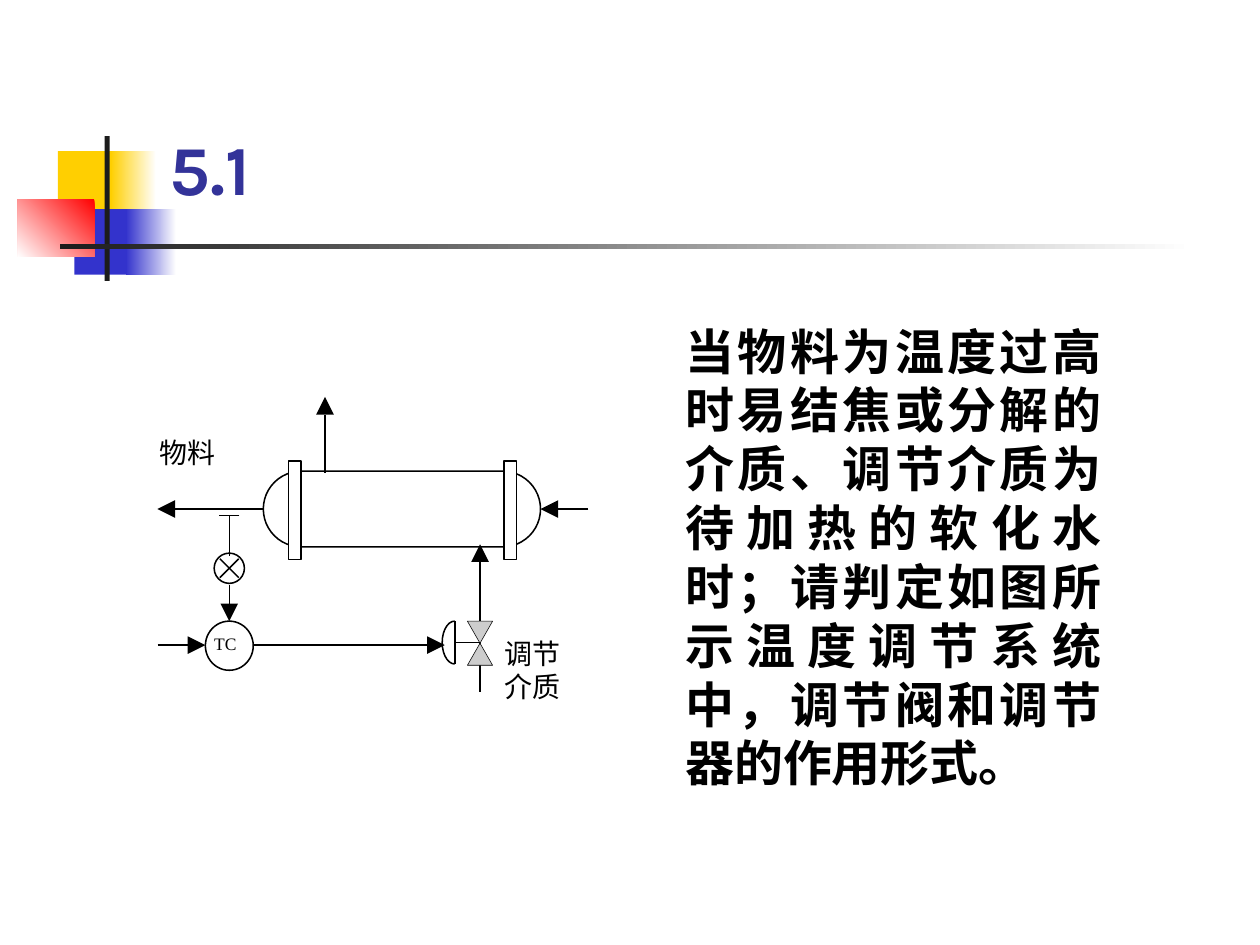
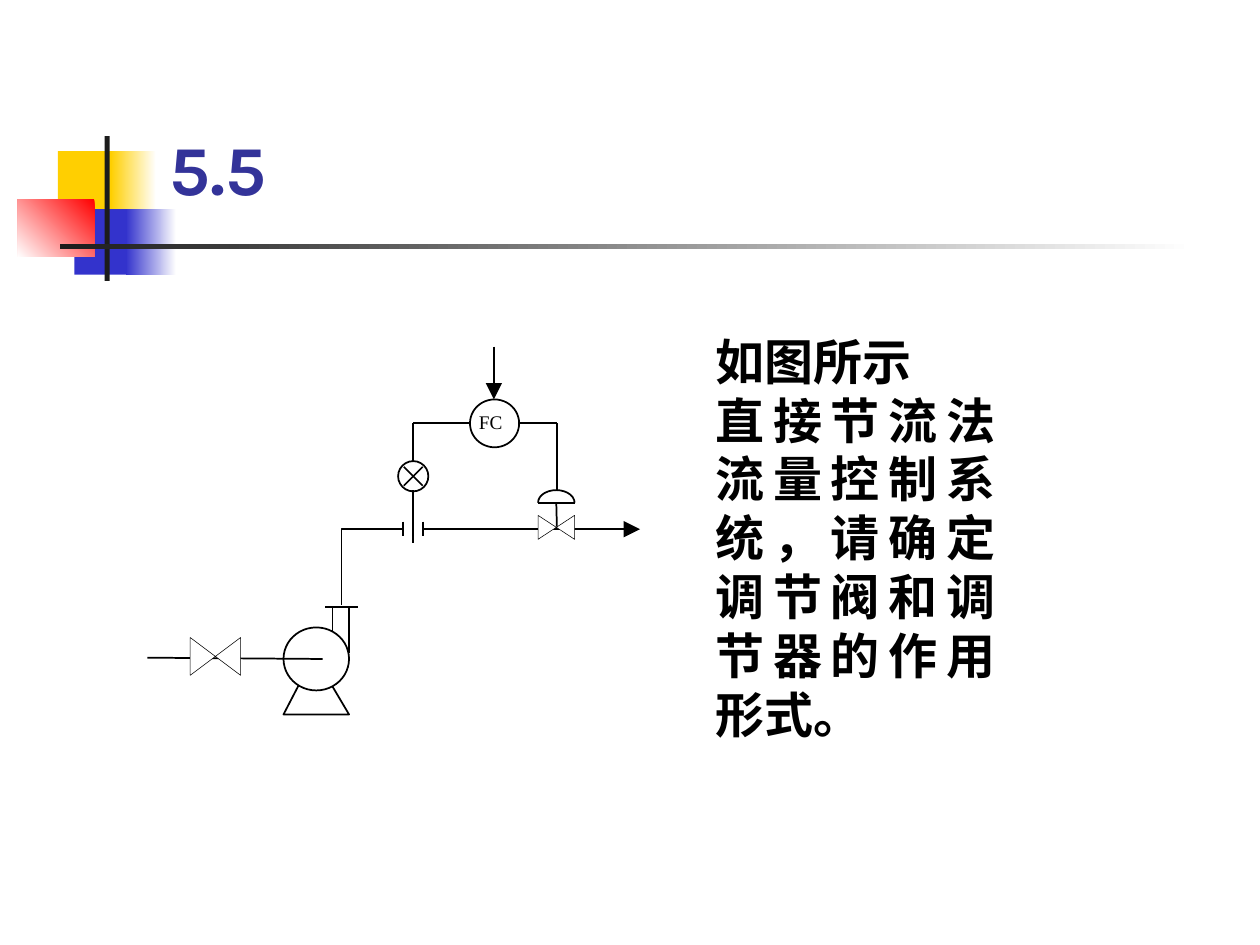
import math
from dataclasses import dataclass
from itertools import pairwise

from lxml import etree
from pptx import Presentation
from pptx.dml.color import RGBColor
from pptx.enum import shapes, text
from pptx.oxml import ns
from pptx.util import Inches, Pt


@dataclass(frozen=True)
class Theme:
    yellow: str = "FFCF01"
    blue: str = "3333CC"
    red: str = "FF0000"
    dark: str = "1C1C1C"
    title: str = "333399"
    ink: str = "000000"
    paper: str = "FFFFFF"
    grey: str = "CDCDCD"
    title_font: str = "Karla"
    body_font: str = "Noto Sans CJK SC"
    label_font: str = "Times New Roman"
    title_size: int = 40
    body_size: int = 28
    label_size: int = 16
    thin: float = 0.3


THEME = Theme()
RECTANGLE = shapes.MSO_SHAPE.RECTANGLE
OVAL = shapes.MSO_SHAPE.OVAL


# Shared building helpers
def paint(shape, fill=None, line=None, weight=1.0):
    """Fill and outline a shape; None leaves the part out."""
    shape.shadow.inherit = False
    if fill:
        shape.fill.solid()
        shape.fill.fore_color.rgb = RGBColor.from_string(fill)
    else:
        shape.fill.background()
    if line:
        shape.line.color.rgb = RGBColor.from_string(line)
        shape.line.width = Pt(weight)
    else:
        shape.line.fill.background()
    return shape


def paint_gradient(shape, first, last, clockwise):
    paint(shape)
    shape.fill.gradient()
    shape.fill.gradient_angle = 360 - clockwise
    for stop, color in zip(shape.fill.gradient_stops, (first, last)):
        stop.color.rgb = RGBColor.from_string(color)


def add_text(slide, box, lines, size, font, color=THEME.ink, bold=False,
             align=None, anchor=text.MSO_ANCHOR.TOP, before=0, tight=False):
    """Place paragraphs in a box; tight means no insets and no wrapping."""
    shape = slide.shapes.add_textbox(*map(Inches, box))
    frame = shape.text_frame
    frame.word_wrap = not tight
    frame.vertical_anchor = anchor
    if tight:
        frame.margin_left = frame.margin_right = 0
        frame.margin_top = frame.margin_bottom = 0
    frame.text = "\n".join(lines)
    for paragraph in frame.paragraphs:
        paragraph.alignment = align
        paragraph.space_before = Pt(before)
        # Keep punctuation inside the box
        paragraph._p.get_or_add_pPr().set("hangingPunct", "0")
        for run in paragraph.runs:
            run.font.size = Pt(size)
            run.font.bold = bold
            run.font.name = font
            run.font.color.rgb = RGBColor.from_string(color)
            east_asian = etree.SubElement(run.font._element, ns.qn("a:ea"))
            east_asian.set("typeface", THEME.body_font)


class Diagram:
    """Draws process symbols relative to the top left corner of its box."""

    def __init__(self, slide, left, top, weight, head):
        self.slide, self.left, self.top = slide, left, top
        self.weight, self.head = weight, head

    def point(self, x, y):
        return Inches(self.left + x), Inches(self.top + y)

    def shape(self, kind, x, y, width, height, line=THEME.ink):
        shape = self.slide.shapes.add_shape(
            kind, *self.point(x, y), Inches(width), Inches(height))
        return paint(shape, THEME.paper, line, self.weight)

    def outline(self, points, fill=None, line=THEME.ink, weight=None, close=False):
        start, *rest = [self.point(*point) for point in points]
        builder = self.slide.shapes.build_freeform(*start)
        builder.add_line_segments(rest, close=close)
        paint(builder.convert_to_shape(), fill, line, weight or self.weight)

    def line(self, *points):
        """Straight connectors through the given points."""
        for start, end in pairwise(points):
            connector = self.slide.shapes.add_connector(
                shapes.MSO_CONNECTOR.STRAIGHT, *self.point(*start), *self.point(*end))
            connector.line.color.rgb = RGBColor.from_string(THEME.ink)
            connector.line.width = Pt(self.weight)
            etree.SubElement(connector._element.spPr, ns.qn("a:effectLst"))

    def arrow_head(self, start, tip):
        """Solid triangle at tip, pointing away from start; returns its base."""
        length = math.dist(start, tip)
        dx, dy = (tip[0] - start[0]) / length, (tip[1] - start[1]) / length
        x, y = tip[0] - dx * self.head, tip[1] - dy * self.head
        half = self.head / 2
        corners = [(x - dy * half, y + dx * half), tip, (x + dy * half, y - dx * half)]
        self.outline(corners, THEME.ink, None, close=True)
        return x, y

    def arrow(self, start, tip):
        self.line(start, self.arrow_head(start, tip))

    def valve(self, x, y, width, height, fill=THEME.paper, upright=False):
        right, bottom = x + width, y + height
        second, third = (x, bottom), (right, y)
        if not upright:
            second, third = third, second
        self.outline([(right, bottom), second, third, (x, y)],
                     fill, weight=THEME.thin, close=True)

    def actuator(self, start, end, depth, seat):
        """Dome to the left of the chord start-end, with a stem to the seat."""
        middle = ((start[0] + end[0]) / 2, (start[1] + end[1]) / 2)
        dx, dy = end[0] - middle[0], end[1] - middle[1]
        half = math.hypot(dx, dy)
        self.line(seat, middle)
        self.line(start, end)
        dome = []
        for step in range(15):
            angle = math.pi * step / 14
            across, out = math.cos(angle), math.sin(angle) * depth / half
            dome.append((middle[0] - dx * across + dy * out,
                         middle[1] - dy * across - dx * out))
        self.outline(dome)

    def transmitter(self, x, y):
        """Crossed circle centred on x, y."""
        radius, arm = 0.12, 0.075
        self.shape(OVAL, x - radius, y - radius, 2 * radius, 2 * radius)
        for side in (arm, -arm):
            self.line((x + side, y + arm), (x - side, y - arm))

    def controller(self, x, y, width, height, tag, size):
        self.shape(OVAL, x, y, width, height)
        box = (self.left + x + 0.07, self.top + y + 0.09, 0.19, 0.18)
        add_text(self.slide, box, [tag], size, THEME.label_font, tight=True)

    def label(self, x, y, width, height, caption):
        box = (self.left + x, self.top + y, width, height)
        add_text(self.slide, box, [caption], THEME.label_size,
                 THEME.label_font, before=10)


# Parts common to both slides
def draw_header(slide, left, top, title):
    def block(x, y, width, height):
        return slide.shapes.add_shape(
            RECTANGLE, *map(Inches, (left + x, top + y, width, height)))

    # Coloured squares, the yellow and blue fading to the right
    paint(block(0.32, 0.12, 0.48, 0.52), THEME.yellow)
    paint_gradient(block(0.74, 0.12, 0.36, 0.52), THEME.paper, THEME.yellow, 180)
    paint(block(0.45, 0.58, 0.46, 0.52), THEME.blue)
    paint_gradient(block(0.86, 0.58, 0.4, 0.52), THEME.paper, THEME.blue, 180)
    paint_gradient(block(0, 0.5, 0.61, 0.46), THEME.red, THEME.paper, 135)
    # Crossing rules
    paint(block(0.69, 0, 0.04, 1.15), THEME.dark)
    paint_gradient(block(0.34, 0.86, 9, 0.04), THEME.paper, THEME.dark, 180)
    # Title
    add_text(slide, (left + 1.11, top - 0.41, 8.52, 1.04), [title],
             THEME.title_size, THEME.title_font, THEME.title, bold=True,
             anchor=text.MSO_ANCHOR.BOTTOM)


def draw_question(slide, box, lines):
    add_text(slide, box, lines, THEME.body_size, THEME.body_font, bold=True,
             align=text.PP_ALIGN.JUSTIFY)


# Heat exchanger with temperature control
def draw_temperature_loop(slide, left, top):
    diagram = Diagram(slide, left, top, weight=0.88, head=0.14)
    axis, signal, sensor, inlet = 0.89, 1.97, 0.65, 2.64
    # Vessel and flanges
    vessel = diagram.shape(shapes.MSO_SHAPE.ROUNDED_RECTANGLE, 0.92, 0.59, 2.2, 0.6)
    vessel.adjustments[0] = 0.5
    for x in (1.12, 2.83):
        diagram.shape(RECTANGLE, x, 0.51, 0.1, 0.78)
    # Streams
    diagram.arrow((0.92, axis), (0.08, axis))
    diagram.arrow((3.5, axis), (3.12, axis))
    diagram.arrow((1.41, 0.6), (1.41, 0))
    diagram.arrow((inlet, 2.34), (inlet, 1.17))
    # Control valve
    diagram.valve(2.54, 1.78, 0.2, 0.35, THEME.grey, upright=True)
    diagram.actuator((2.44, 2.12), (2.44, 1.78), 0.1, (inlet, 1.95))
    # Sensor and controller
    diagram.transmitter(sensor, 1.36)
    diagram.line((sensor, 1.26), (sensor, 0.94))
    diagram.line((0.73, 0.94), (0.57, 0.94))
    diagram.controller(0.46, 1.78, 0.38, 0.39, "TC", 10)
    diagram.arrow((sensor, 1.49), (sensor, 1.78))
    diagram.arrow((0.84, signal), (2.36, signal))
    diagram.arrow((0.08, signal), (0.46, signal))
    # Captions
    diagram.label(0, 0.26, 0.67, 0.37, "物料")
    diagram.label(2.74, 1.85, 0.67, 0.64, "调节介质")


# Pump with flow control
def draw_flow_loop(slide, left, top):
    diagram = Diagram(slide, left, top, weight=0.99, head=0.13)
    pipe, signal, sensor, outlet = 1.45, 0.61, 2.11, 3.25
    # Discharge pipe
    bend, tip = (1.54, pipe), (3.91, pipe)
    diagram.outline([(1.54, 2.05), bend, diagram.arrow_head(bend, tip)])
    # Signal lines
    diagram.line((sensor, 0.91), (sensor, signal), (outlet, signal), (outlet, 1.14))
    diagram.arrow((2.75, 0), (2.75, 0.42))
    # Pump nozzle, base and casing
    diagram.line((1.6, 2.43), (1.6, 2.07))
    diagram.line((1.47, 2.31), (1.47, 2.07))
    diagram.line((1.67, 2.07), (1.41, 2.07))
    diagram.outline([(1.21, 2.67), (1.08, 2.92), (1.6, 2.92), (1.47, 2.7)])
    diagram.shape(OVAL, 1.08, 2.23, 0.52, 0.5)
    # Orifice plate and transmitter
    diagram.transmitter(sensor, 1.03)
    diagram.shape(RECTANGLE, 2.03, 1.33, 0.16, 0.23, line=None)
    for x in (2.03, 2.19):
        diagram.line((x, 1.39), (x, 1.5))
    diagram.line((sensor, 1.14), (sensor, 1.56))
    # Control valve and controller
    diagram.valve(3.1, 1.34, 0.29, 0.19)
    diagram.actuator((3.1, 1.24), (3.39, 1.24), 0.1, (outlet, 1.43))
    diagram.controller(2.56, 0.42, 0.39, 0.38, "FC", 11)
    # Suction line and hand valve
    diagram.line((0, 2.47), (1.39, 2.48))
    diagram.valve(0.34, 2.31, 0.4, 0.3)


presentation = Presentation()
presentation.slide_width, presentation.slide_height = Inches(10), Inches(7.5)

pages = [
    ("5.1", draw_temperature_loop, (1.17, 3.15), (5.34, 2.5, 3.5, 3.84),
     ["当物料为温度过高时易结焦或分解的介质、调节介质为待加热的软化水时；"
      "请判定如图所示温度调节系统中，调节阀和调节器的作用形式。"]),
    ("5.5", draw_flow_loop, (1.17, 2.75), (5.58, 2.58, 2.42, 3.37),
     ["如图所示", "直接节流法流量控制系统，请确定调节阀和调节器的作用形式。"]),
]
for title, draw_loop, corner, question_box, question in pages:
    slide = presentation.slides.add_slide(presentation.slide_layouts[6])
    draw_header(slide, 0.14, 1.08, title)
    draw_loop(slide, *corner)
    draw_question(slide, question_box, question)

presentation.save("out.pptx")
